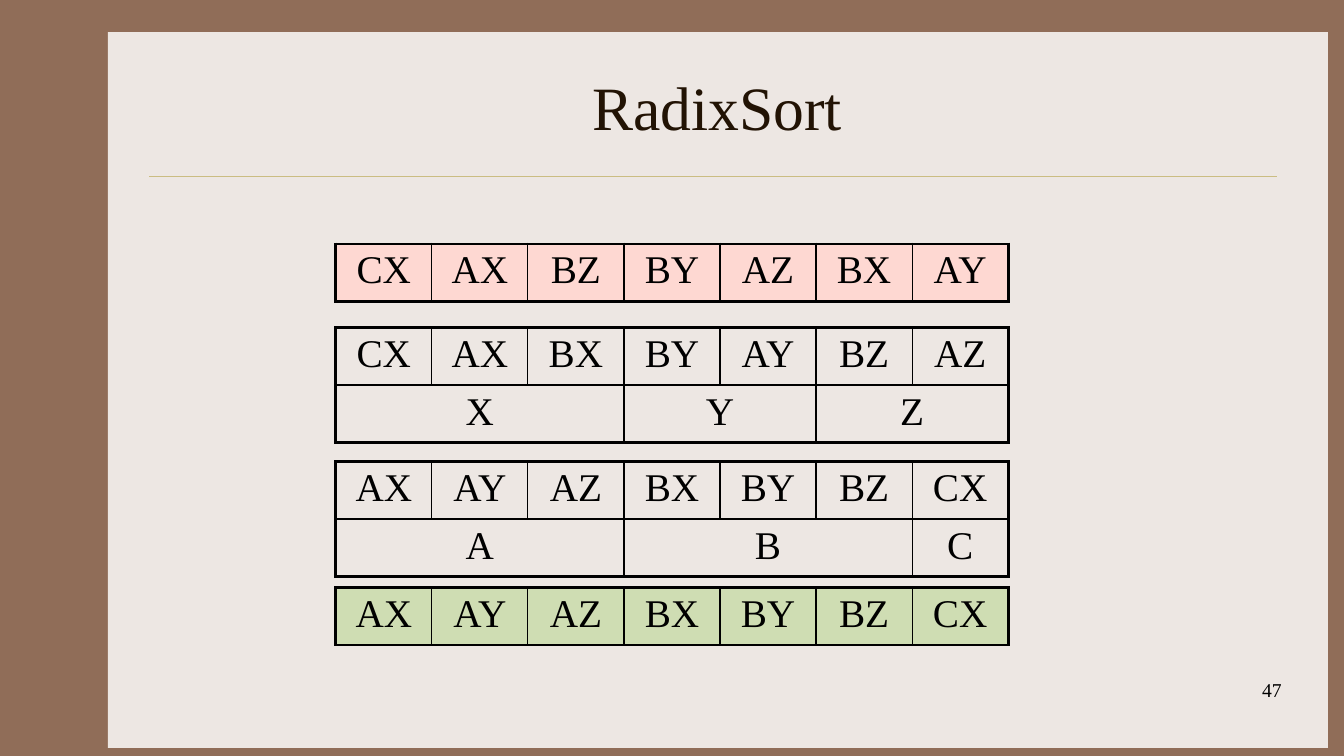
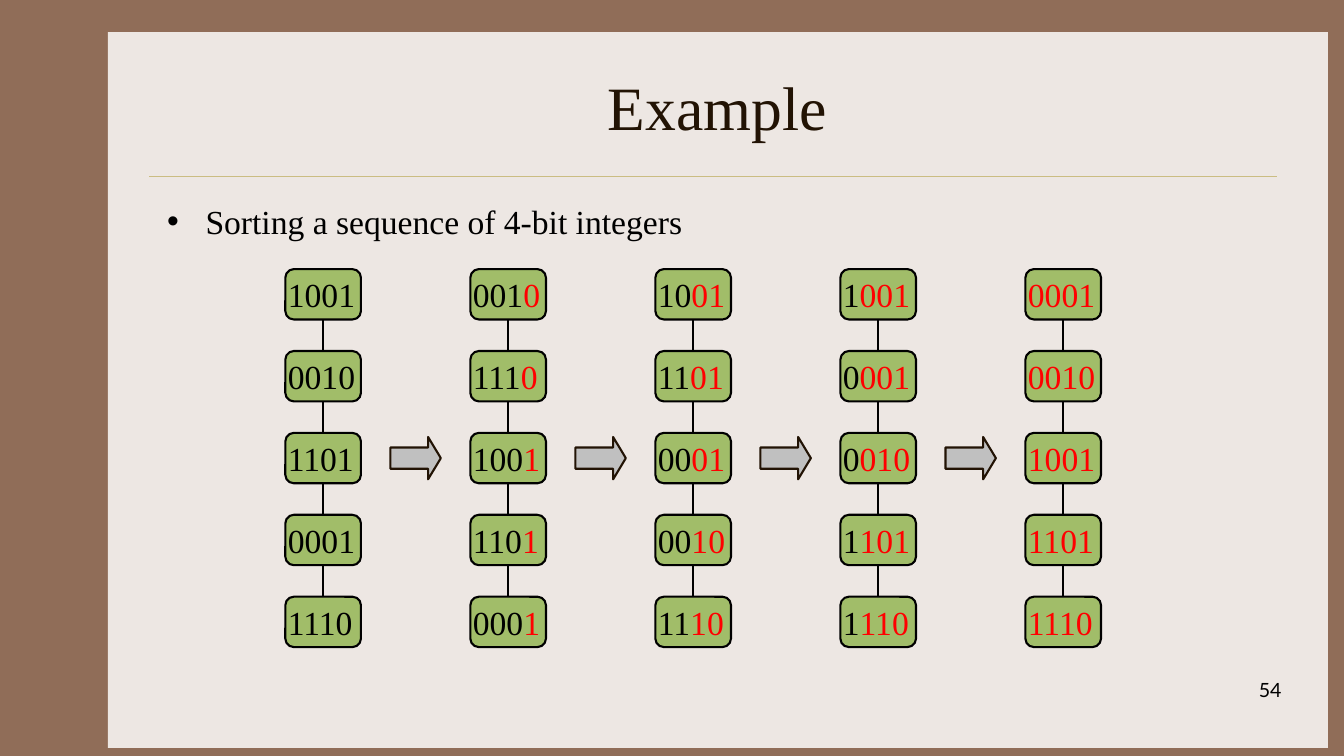
import pptx
import pptx.chart.data
import pptx.dml.color
import pptx.enum.shapes
import pptx.enum.text
import pptx.oxml
import pptx.oxml.ns
import pptx.util
from lxml import etree

Inches = pptx.util.Inches
Pt = pptx.util.Pt
SHAPE = pptx.enum.shapes.MSO_SHAPE
ALIGN = pptx.enum.text.PP_ALIGN
ANCHOR = pptx.enum.text.MSO_ANCHOR

COLOURS = {
    "frame": "906D58", "panel": "EDE7E3", "rule": "CBBD83", "title": "221304",
    "text": "000000", "sorted_bits": "FF0000", "node": "A1BD69", "arrow": "C0C0C0",
    "input": "FED8D2", "output": "CFDDB3",
}
SERIF = "Times New Roman"
NO_TABLE_STYLE = "{2D5ABB26-0587-4C30-8999-92F81FD0307C}"

PANEL = (1.07, 0.32, 12.1, 7.1)
TITLE = (1.56, 0.42, 11.11, 1.25)
BODY = (1.56, 1.94, 11.11, 0.6)
NUMBER = (10.03, 6.68, 2.78, 0.5)
RULE = (1.48, 1.75, 12.67, 1.75)
CHAINS = (2.83, 2.67, 8.09, 3.75)

TABLE_LEFT, TABLE_WIDTH, ROW_HEIGHT = 3.33, 6.67, 0.57
TABLES = [
    (2.42, "input", ["CX AX BZ BY AZ BX AY"], []),
    (3.25, None, ["CX AX BX BY AY BZ AZ"], [("X", 3), ("Y", 2), ("Z", 2)]),
    (4.58, None, ["AX AY AZ BX BY BZ CX"], [("A", 3), ("B", 3), ("C", 1)]),
    (5.83, "output", ["AX AY AZ BX BY BZ CX"], []),
]
PASSES = [
    "1001 0010 1101 0001 1110",
    "0010 1110 1001 1101 0001",
    "1001 1101 0001 0010 1110",
    "1001 0001 0010 1101 1110",
    "0001 0010 1001 1101 1110",
]


def rgb(name):
    """Return the named colour."""
    return pptx.dml.color.RGBColor.from_string(COLOURS[name])


def inches(*lengths):
    """Turn plain numbers into lengths."""
    return [Inches(length) for length in lengths]


def set_values(target, values):
    """Set attributes from a dict of format values."""
    for name, value in values.items():
        setattr(target, name, value)


def add_span(para, text, size, colour="text", font=SERIF):
    """Add one formatted run to a paragraph."""
    span = para.add_run()
    span.text = text
    set_values(span.font, {"size": Pt(size), "name": font})
    span.font.color.rgb = rgb(colour)


def add_text(page, place, text, size, colour="text", font=SERIF, align=ALIGN.LEFT, anchor=ANCHOR.TOP):
    """Add a wrapped text box and return its paragraph."""
    frame = page.shapes.add_textbox(*inches(*place)).text_frame
    set_values(frame, {"word_wrap": True, "vertical_anchor": anchor})
    para = frame.paragraphs[0]
    para.alignment = align
    add_span(para, text, size, colour, font)
    return para


def add_shape(shapes, kind, place, fill, line=None, adjustments=()):
    """Add a flat preset shape."""
    shape = shapes.add_shape(kind, *inches(*place))
    shape.shadow.inherit = False
    shape.fill.solid()
    shape.fill.fore_color.rgb = rgb(fill)
    if line:
        shape.line.color.rgb = rgb(line)
        shape.line.width = Pt(1.5)
    else:
        shape.line.fill.background()
    for index, value in enumerate(adjustments):
        shape.adjustments[index] = value
    return shape


def add_line(shapes, ends, colour, width):
    """Add a straight line without a shadow."""
    line = shapes.add_connector(pptx.enum.shapes.MSO_CONNECTOR.STRAIGHT, *inches(*ends))
    line.line.color.rgb = rgb(colour)
    line.line.width = Pt(width)
    etree.SubElement(line._element.spPr, pptx.oxml.ns.qn("a:effectLst"))


def add_page(deck, title, number, number_font):
    """Add a page with its panel, title, rule and number."""
    page = deck.slides.add_slide(deck.slide_layouts[6])
    add_shape(page.shapes, SHAPE.RECTANGLE, PANEL, "panel")
    add_line(page.shapes, RULE, "rule", 0.25)
    add_text(page, TITLE, title, 44, "title", align=ALIGN.CENTER, anchor=ANCHOR.MIDDLE)
    add_text(page, NUMBER, number, 14, font=number_font, align=ALIGN.RIGHT)
    return page


def set_borders(cell, widths):
    """Draw the four cell borders, given as point widths by side."""
    properties = cell._tc.get_or_add_tcPr()
    for side, width in widths.items():
        properties.append(pptx.oxml.parse_xml(
            f'<a:ln{side} {pptx.oxml.ns.nsdecls("a")} w="{Pt(width)}"><a:solidFill>'
            f'<a:srgbClr val="{COLOURS["text"]}"/></a:solidFill></a:ln{side}>'))


def add_key_table(page, place, rows, fill):
    """Add a table whose rows list pairs of text and column span."""
    count = sum(span for _, span in rows[0])
    table_frame = page.shapes.add_table(len(rows), count, *inches(*place))
    table = table_frame.table
    set_values(table, {"first_row": False, "horz_banding": False})
    table._tbl.tblPr.find(pptx.oxml.ns.qn("a:tableStyleId")).text = NO_TABLE_STYLE
    for row_index, row in enumerate(rows):
        column = 0
        for text, span in row:
            cell = table.cell(row_index, column)
            if span > 1:
                cell.merge(table.cell(row_index, column + span - 1))
            outer = {"L": column == 0, "R": column + span == count,
                     "T": row_index == 0, "B": row_index == len(rows) - 1}
            set_borders(cell, {side: 2.25 if edge else 1 for side, edge in outer.items()})
            if fill:
                cell.fill.solid()
                cell.fill.fore_color.rgb = rgb(fill)
            else:
                cell.fill.background()
            para = cell.text_frame.paragraphs[0]
            para.alignment = ALIGN.CENTER
            add_span(para, text, 28)
            column += span


def add_chain(page, place, keys, sorted_count):
    """Add a column of linked keys with their sorted bits highlighted."""
    left, top, width, height = place
    node_height = 0.5
    pitch = (height - node_height) / (len(keys) - 1)
    chain = page.shapes.add_group_shape()
    middle = left + width / 2
    add_line(chain.shapes, (middle, top + node_height, middle, top + height - node_height), "text", 1.5)
    for index, key in enumerate(keys):
        node = add_shape(chain.shapes, SHAPE.ROUNDED_RECTANGLE,
                         (left, top + index * pitch, width, node_height), "node", "text", [0.17])
        set_values(node.text_frame, {"margin_left": 0, "margin_right": 0, "word_wrap": False,
                                     "vertical_anchor": ANCHOR.MIDDLE})
        para = node.text_frame.paragraphs[0]
        para.alignment = ALIGN.LEFT
        split = len(key) - sorted_count
        for bits, colour in ((key[:split], "text"), (key[split:], "sorted_bits")):
            if bits:
                add_span(para, bits, 24, colour)


def add_passes(page, place):
    """Add one chain for each sorting pass, with arrows between them."""
    left, top, width, height = place
    node_width, arrow_width, arrow_height = 0.75, 0.5, 0.42
    pitch = (width - node_width) / (len(PASSES) - 1)
    for index, keys in enumerate(PASSES):
        add_chain(page, (left + index * pitch, top, node_width, height), keys.split(), index)
    for index in range(len(PASSES) - 1):
        middle = left + index * pitch + (pitch + node_width) / 2
        add_shape(page.shapes, SHAPE.RIGHT_ARROW,
                  (middle - arrow_width / 2, top + (height - arrow_height) / 2, arrow_width, arrow_height),
                  "arrow", "title", [0.5, 0.3])


def add_bullet(page, place, text):
    """Add a bulleted line of body text."""
    para = add_text(page, place, text, 24)
    properties = para._p.get_or_add_pPr()
    indent = Inches(0.38)
    properties.set("marL", str(indent))
    properties.set("indent", str(-indent))
    for tag, name, value in (("buFont", "typeface", "Arial"), ("buChar", "char", "•")):
        etree.SubElement(properties, pptx.oxml.ns.qn(f"a:{tag}")).set(name, value)


def build_radix_page(deck):
    """Build the page of key tables."""
    page = add_page(deck, "RadixSort", "47", SERIF)
    for top, fill, key_rows, groups in TABLES:
        rows = [[(key, 1) for key in keys.split()] for keys in key_rows]
        if groups:
            rows.append(groups)
        add_key_table(page, (TABLE_LEFT, top, TABLE_WIDTH, ROW_HEIGHT * len(rows)), rows, fill)


def build_example_page(deck):
    """Build the page of binary sorting passes."""
    page = add_page(deck, "Example", "54", "Lato")
    add_bullet(page, BODY, "Sorting a sequence of 4-bit integers")
    add_passes(page, CHAINS)


def main():
    """Build and save the deck."""
    deck = pptx.Presentation()
    set_values(deck, {"slide_width": Inches(13.33), "slide_height": Inches(7.5)})
    background = deck.slide_master.background.fill
    background.solid()
    background.fore_color.rgb = rgb("frame")
    build_radix_page(deck)
    build_example_page(deck)
    deck.save("out.pptx")


if __name__ == "__main__":
    main()
